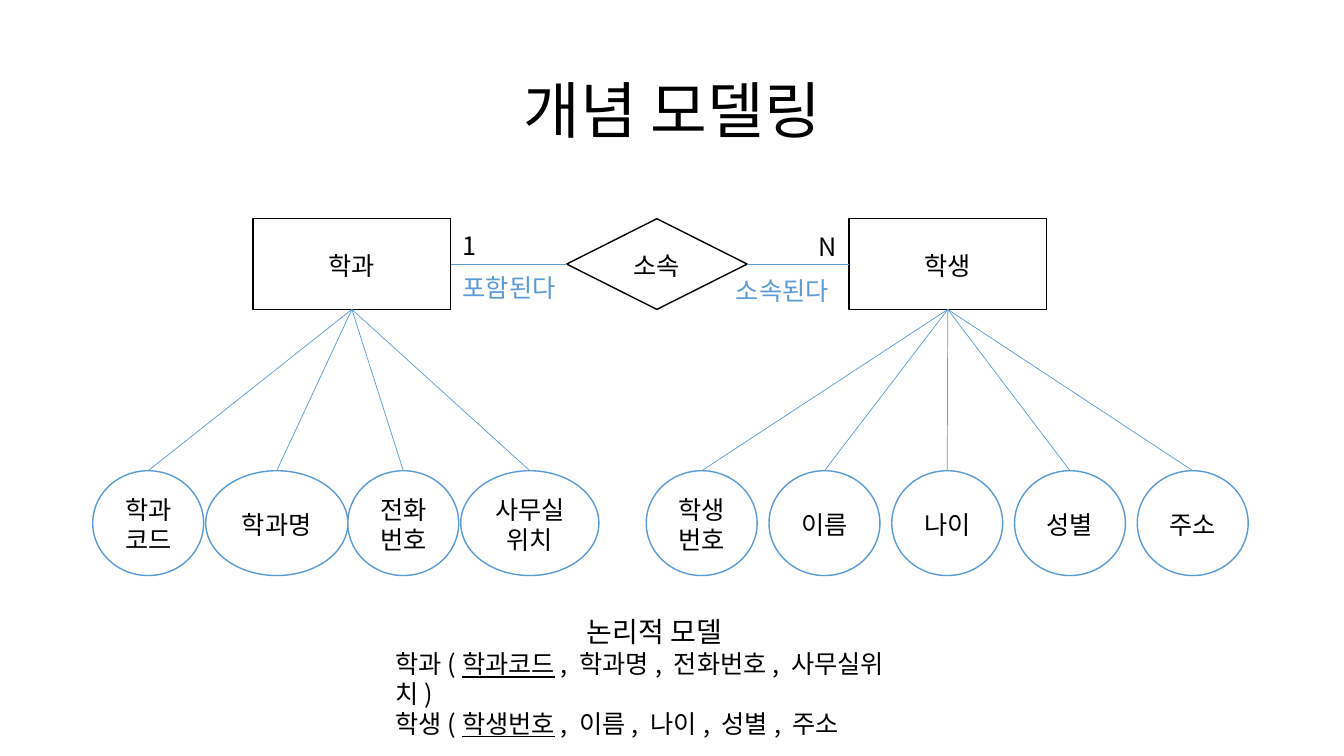
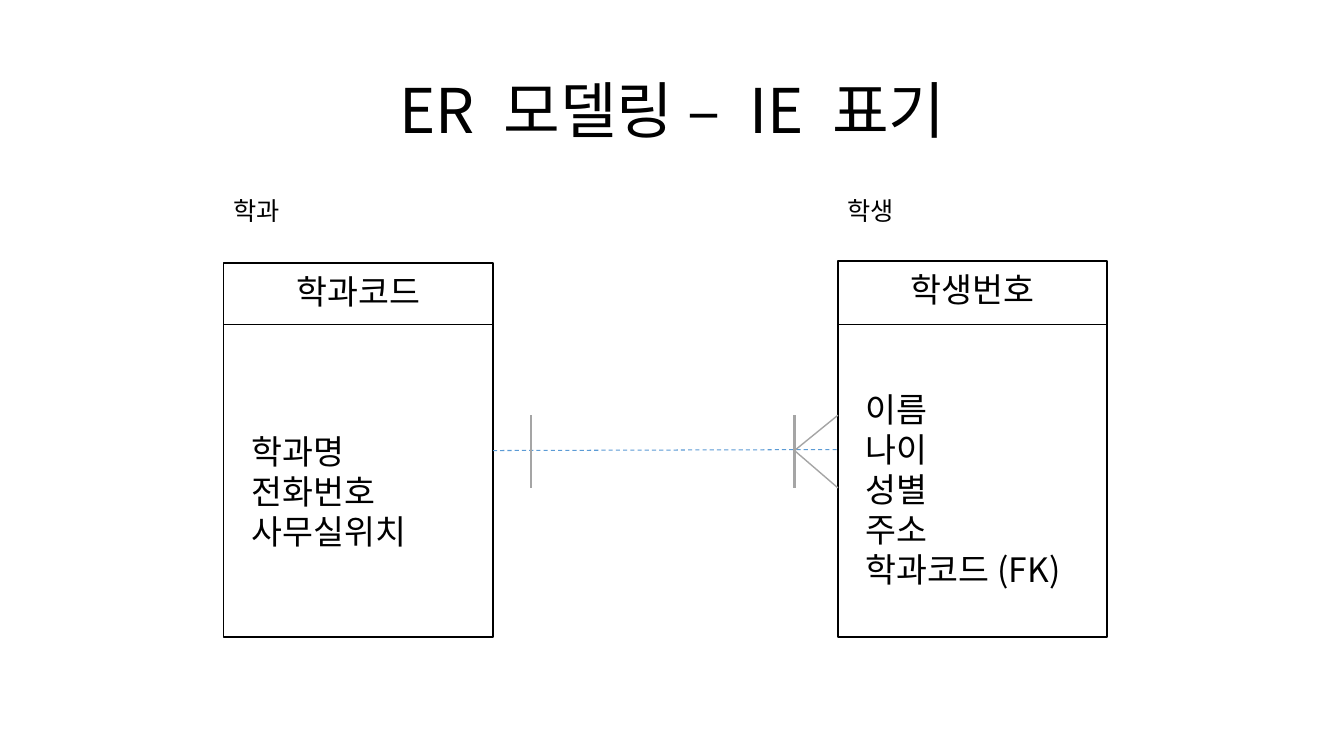
from lxml.etree import SubElement
from pptx import Presentation
from pptx.dml.color import RGBColor
from pptx.enum.dml import MSO_LINE
from pptx.enum.shapes import MSO_CONNECTOR, MSO_SHAPE
from pptx.enum.text import MSO_ANCHOR, PP_ALIGN
from pptx.oxml.ns import qn
from pptx.util import Inches, Pt

COLORS = {"ink": "000000", "paper": "FFFFFF", "blue": "5B9BD5", "gray": "A5A5A5"}
FONT = "Noto Sans CJK KR"
LINE_HEIGHT = 1.19
TITLE_BOX = (0.92, 0.4, 11.5, 1.45)

presentation = Presentation()
presentation.slide_width = Inches(13.33)
presentation.slide_height = Inches(7.5)


def add_box(slide, box, lines, preset=None, outline="ink", color="ink", size=18,
            align=PP_ALIGN.LEFT, anchor=MSO_ANCHOR.TOP, spacing=None):
    """Add a text box or outlined shape; text between underscores is underlined."""
    lengths = [Inches(value) for value in box]
    if preset is None:
        shape = slide.shapes.add_textbox(*lengths)
    else:
        shape = slide.shapes.add_shape(preset, *lengths)
        shape.shadow.inherit = False
        shape.fill.solid()
        shape.fill.fore_color.rgb = RGBColor.from_string(COLORS["paper"])
        shape.line.color.rgb = RGBColor.from_string(COLORS[outline])
        shape.line.width = Pt(1)
    frame = shape.text_frame
    frame.word_wrap = True
    frame.vertical_anchor = anchor
    if spacing is None:
        frame.margin_top = Inches(0.08)
    for index, line in enumerate(lines):
        paragraph = frame.add_paragraph() if index else frame.paragraphs[0]
        paragraph.alignment = align
        paragraph.line_spacing = spacing or Pt(round(size * LINE_HEIGHT, 1))
        for part, text in enumerate(line.split("_")):
            run = paragraph.add_run()
            run.text = text
            run.font.name = FONT
            run.font.size = Pt(size)
            run.font.color.rgb = RGBColor.from_string(COLORS[color])
            if part % 2:
                run.font.underline = True
            SubElement(run.font._element, qn("a:ea")).set("typeface", FONT)
    return shape


def add_line(slide, start, end, color="blue", width=0.5):
    points = [Inches(value) for value in (*start, *end)]
    connector = slide.shapes.add_connector(MSO_CONNECTOR.STRAIGHT, *points)
    connector.line.color.rgb = RGBColor.from_string(COLORS[color])
    connector.line.width = Pt(width)
    SubElement(connector._element.spPr, qn("a:effectLst"))
    return connector


# Slides and titles
slides = []
for title in ("개념 모델링", "ER 모델링 – IE 표기"):
    slide = presentation.slides.add_slide(presentation.slide_layouts[6])
    add_box(slide, TITLE_BOX, [title], size=44, align=PP_ALIGN.CENTER,
            anchor=MSO_ANCHOR.MIDDLE, spacing=0.9)
    slides.append(slide)
concept, notation = slides
centered = {"align": PP_ALIGN.CENTER, "anchor": MSO_ANCHOR.MIDDLE}

# Concept model: entities with their attributes (name, left, width)
entity_top, entity_width, entity_height = 2.17, 1.96, 0.9
attribute_top, attribute_height = 4.67, 1.04
student_names = ("학생번호", "이름", "나이", "성별", "주소")
entities = [
    ("학과", 2.51, [("학과코드", 0.92, 1.1), ("학과명", 2.04, 1.41),
                  ("전화번호", 3.45, 1.1), ("사무실위치", 4.57, 1.37)]),
    ("학생", 8.42, [(name, 6.41 + 1.2175 * index, 1.1)
                  for index, name in enumerate(student_names)]),
]
for entity, entity_left, attributes in entities:
    add_box(concept, (entity_left, entity_top, entity_width, entity_height), [entity],
            MSO_SHAPE.RECTANGLE, **centered)
    entity_foot = (entity_left + entity_width / 2, entity_top + entity_height)
    for name, left, width in attributes:
        add_box(concept, (left, attribute_top, width, attribute_height), [name],
                MSO_SHAPE.OVAL, outline="blue", **centered)
        add_line(concept, entity_foot, (left + width / 2, attribute_top))

# Relationship between the entities
add_box(concept, (5.62, entity_top, 1.79, entity_height), ["소속"],
        MSO_SHAPE.FLOWCHART_DECISION, **centered)
relation_y = entity_top + entity_height / 2
for start, end in ((4.47, 5.62), (7.41, 8.42)):
    add_line(concept, (start, relation_y), (end, relation_y))
for text, left, top, width, color in (
    ("포함된다", 4.49, 2.62, 1.21, "blue"),
    ("소속된다", 7.2, 2.65, 1.21, "blue"),
    ("1", 4.49, 2.21, 0.76, "ink"),
    ("N", 8.02, 2.22, 0.39, "ink"),
):
    add_box(concept, (left, top, width, 0.4), [text], color=color)

# Logical model
logical = add_box(concept, (3.82, 6.02, 5.34, 1.04), [
    "논리적 모델",
    "학과(_학과코드_, 학과명, 전화번호, 사무실위치)",
    "학생(_학생번호_, 이름, 나이, 성별, 주소",
])
heading = logical.text_frame.paragraphs[0]
heading.alignment = PP_ALIGN.CENTER
heading.line_spacing = Pt(23.8)
heading.runs[0].font.size = Pt(20)

# IE notation: tables with key and attributes
table_width, table_bottom, key_bottom = 2.67, 6.32, 3.22
for name, left, top, gap_lines, rows in (
    ("학과", 2.22, 2.61, 3, ["학과코드", "학과명", "전화번호", "사무실위치"]),
    ("학생", 8.31, 2.59, 2, ["학생번호", "이름", "나이", "성별", "주소", "학과코드(FK)"]),
):
    table = add_box(notation, (left, top, table_width, table_bottom - top), rows,
                    MSO_SHAPE.FLOWCHART_PROCESS, size=24)
    key, *columns = table.text_frame.paragraphs
    key.alignment = PP_ALIGN.CENTER
    columns[0].space_before = Pt(round(gap_lines * 24 * LINE_HEIGHT, 1))
    for column in columns:
        column._p.get_or_add_pPr().set("marL", str(Inches(0.18)))
    add_line(notation, (left, key_bottom), (left + table_width, key_bottom), "ink")
    add_box(notation, (left, 1.86, 0.71, 0.4), [name])

# One-to-many relationship with crow's foot
relationship = add_line(notation, (4.89, 4.47), (8.31, 4.46), width=0.75)
relationship.line.dash_style = MSO_LINE.DASH
for bar_x in (5.27, 7.88):
    add_line(notation, (bar_x, 4.12), (bar_x, 4.84), "gray", 1.5)
for toe_y in (4.12, 4.84):
    add_line(notation, (7.88, 4.47), (8.31, toe_y), "gray", 1)

presentation.save("out.pptx")
